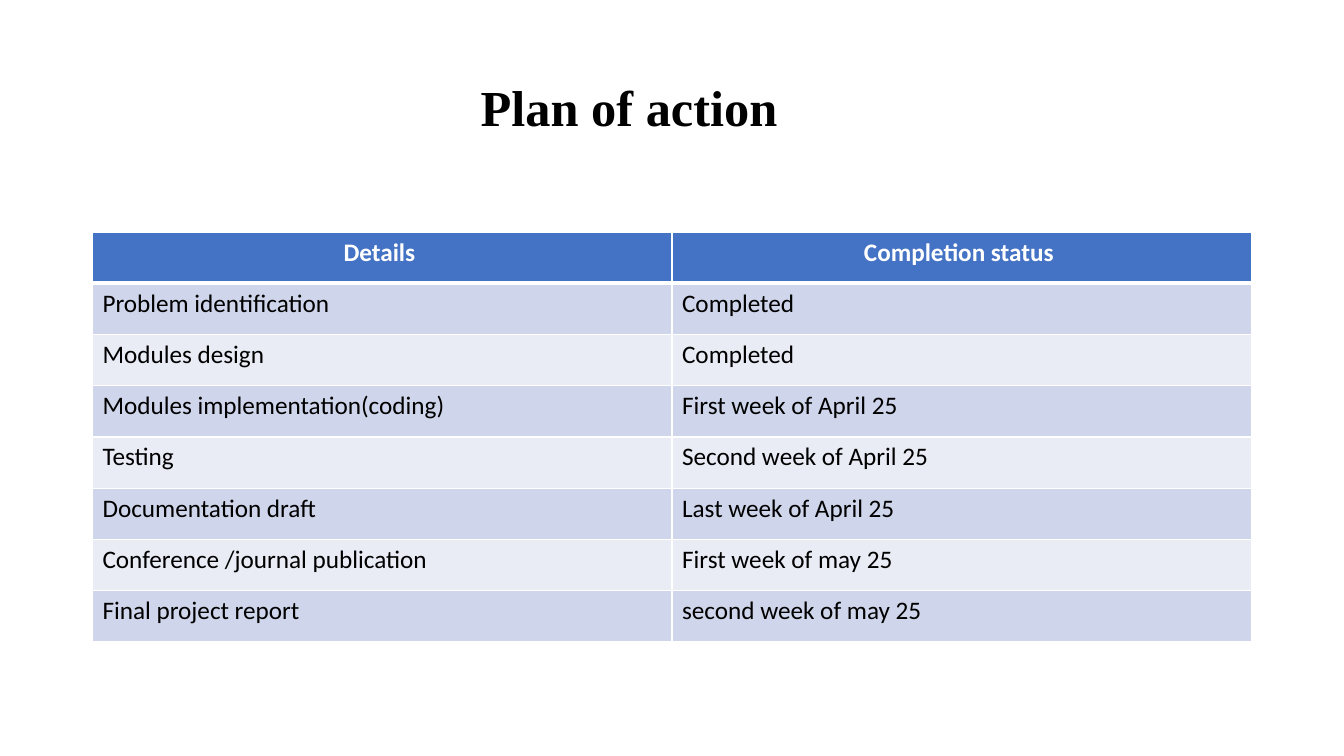
from lxml import etree
from pptx import Presentation
from pptx.dml.color import RGBColor
from pptx.enum.text import PP_ALIGN
from pptx.oxml.ns import qn
from pptx.util import Cm, Pt

COLORS = {
    "header": "4472C4",
    "dark band": "CFD5EA",
    "light band": "E9EBF5",
    "white": "FFFFFF",
    "black": "000000",
}
PLAN = [
    ("Details ", "Completion status "),
    ("Problem identification", "Completed"),
    ("Modules design", "Completed"),
    ("Modules implementation(coding)", "First week of April 25"),
    ("Testing", "Second week of April 25"),
    ("Documentation draft", "Last week of April 25"),
    ("Conference /journal publication", "First week of may 25"),
    ("Final project report", "second week of may 25"),
]


def fill_cell(cell, text, fill, font, size, color, bold, align=PP_ALIGN.LEFT):
    cell.text = text
    para = cell.text_frame.paragraphs[0]
    para.alignment = align
    para.font.name = font
    para.font.size = Pt(size)
    para.font.bold = bold
    para.font.color.rgb = RGBColor.from_string(COLORS[color])
    cell.fill.solid()
    cell.fill.fore_color.rgb = RGBColor.from_string(COLORS[fill])


def add_borders(cell, top=1, bottom=1):
    """Draw white borders, with widths in points; left and right are 1 point."""
    properties = cell._tc.get_or_add_tcPr()
    widths = {"a:lnL": 1, "a:lnR": 1, "a:lnT": top, "a:lnB": bottom}
    for position, (side, width) in enumerate(widths.items()):
        line = etree.Element(qn(side), w=str(Pt(width)))
        fill = etree.SubElement(line, qn("a:solidFill"))
        etree.SubElement(fill, qn("a:srgbClr"), val=COLORS["white"])
        properties.insert(position, line)


deck = Presentation()
deck.slide_width, deck.slide_height = Cm(33.87), Cm(19.05)
page = deck.slides.add_slide(deck.slide_layouts.get_by_name("Blank"))

# Plan table: the frame is taller than its rows, so the last row stretches
plan_frame = page.shapes.add_table(len(PLAN), 2, Cm(2.33), Cm(5.85), Cm(29.21), Cm(10.77))
plan_table = plan_frame.table
for row_index, texts in enumerate(PLAN):
    plan_table.rows[row_index].height = Cm(1.29)
    for column_index, text in enumerate(texts):
        cell = plan_table.cell(row_index, column_index)
        if row_index == 0:
            fill_cell(cell, text, "header", "Calibri", 18, "white", True, PP_ALIGN.CENTER)
            add_borders(cell, bottom=3)
        else:
            band = "dark band" if row_index % 2 else "light band"
            fill_cell(cell, text, band, "Calibri", 18, "black", False)
            add_borders(cell, top=3 if row_index == 1 else 1)
plan_frame.height = Cm(10.77)

# Title, set in a table of one cell
title_frame = page.shapes.add_table(1, 1, Cm(11.86), Cm(1.93), Cm(8.26), Cm(2.54))
title_cell = title_frame.table.cell(0, 0)
fill_cell(title_cell, "Plan of action", "white", "Times New Roman", 36, "black", True)
add_borders(title_cell, bottom=3)

deck.save("out.pptx")
